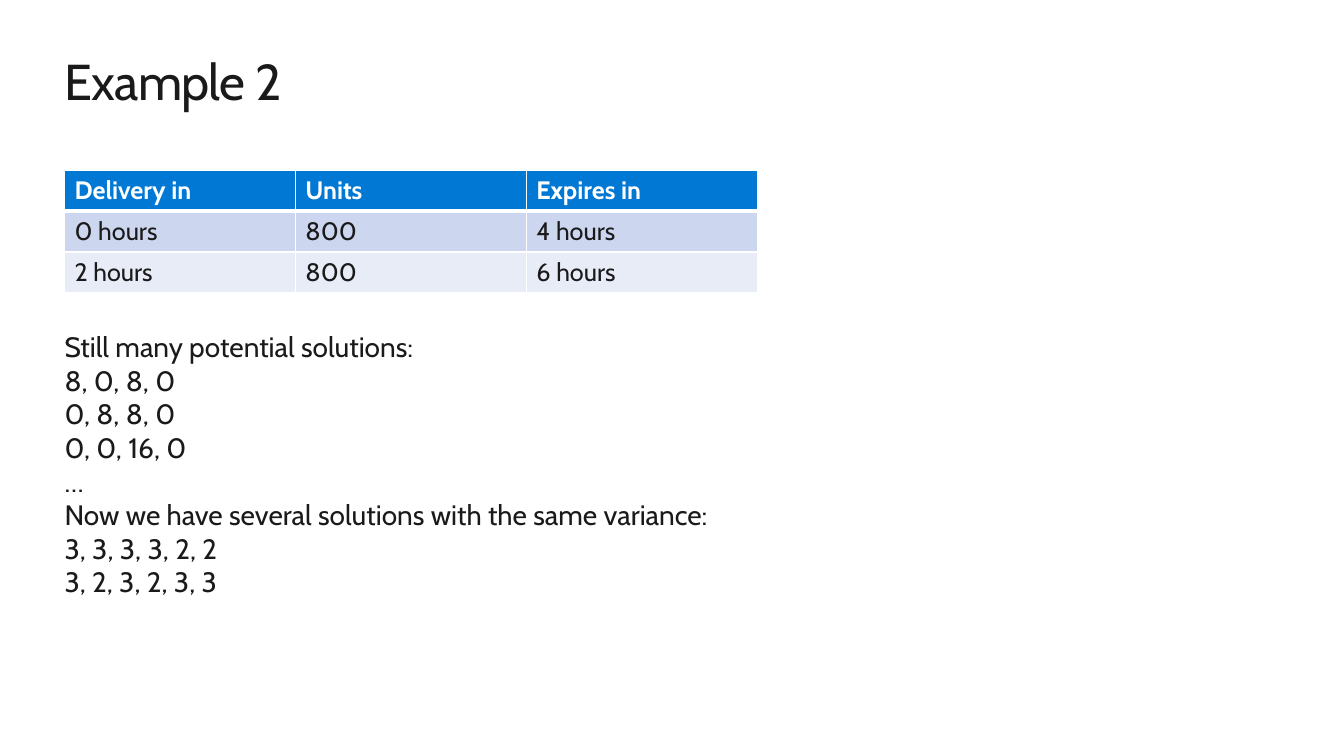
from dataclasses import dataclass

from lxml.etree import SubElement
from pptx import Presentation
from pptx.dml.color import RGBColor
from pptx.enum.text import MSO_ANCHOR, MSO_AUTO_SIZE, PP_ALIGN
from pptx.oxml.ns import qn
from pptx.util import Emu, Inches, Pt

COLORS = {
    "text": "1A1A1A",
    "white": "FFFFFF",
    "header": "0078D4",
    "odd_row": "CCD6EF",
    "even_row": "E7ECF7",
}
FONT = "Cabin"
SLIDE_WIDTH = Inches(13.33)
SLIDE_HEIGHT = Inches(7.5)
GRID_STEPS = 100

DELIVERIES = [
    ["Delivery in", "Units", "Expires in"],
    ["0 hours", "800", "4 hours"],
    ["2 hours", "800", "6 hours"],
]
SOLUTIONS = [
    "Still many potential solutions:",
    "8, 0, 8, 0",
    "0, 8, 8, 0",
    "0, 0, 16, 0",
    "…",
    "Now we have several solutions with the same variance:",
    "3, 3, 3, 3, 2, 2",
    "3, 2, 3, 2, 3, 3",
]


@dataclass(frozen=True)
class Area:
    column: float
    row: float
    columns: float
    rows: float

    def box(self) -> tuple[Emu, Emu, Emu, Emu]:
        column_width = SLIDE_WIDTH / GRID_STEPS
        row_height = SLIDE_HEIGHT / GRID_STEPS
        return (
            Emu(round(self.column * column_width)),
            Emu(round(self.row * row_height)),
            Emu(round(self.columns * column_width)),
            Emu(round(self.rows * row_height)),
        )


@dataclass(frozen=True)
class TextStyle:
    size: int
    color: str = "text"
    bold: bool = False
    spacing: int = 0


@dataclass(frozen=True)
class TextBlock:
    area: Area
    lines: list[str]
    style: TextStyle


@dataclass(frozen=True)
class RowStyle:
    fill: str
    text: TextStyle
    bottom_border: int = 1


TITLE = TextBlock(Area(4.8, 6.67, 90.4, 8.13), ["Example 2"], TextStyle(36, spacing=-50))
BODY = TextBlock(Area(4.8, 43.6, 55.74, 35.87), SOLUTIONS, TextStyle(20))
TABLE_AREA = Area(4.8, 22.53, 51.54, 16)
ROW_STYLES = [
    RowStyle("header", TextStyle(18, "white", True), 3),
    RowStyle("odd_row", TextStyle(18)),
    RowStyle("even_row", TextStyle(18)),
]


def format_runs(paragraph, style: TextStyle) -> None:
    for run in paragraph.runs:
        run.font.name = FONT
        run.font.size = Pt(style.size)
        run.font.bold = style.bold
        run.font.color.rgb = RGBColor.from_string(COLORS[style.color])
        if style.spacing:
            run.font._element.set("spc", str(style.spacing))


def fill_placeholder(shape, block: TextBlock) -> None:
    shape.left, shape.top, shape.width, shape.height = block.area.box()
    frame = shape.text_frame
    frame.margin_left = frame.margin_top = frame.margin_right = frame.margin_bottom = 0
    frame.word_wrap = True
    frame.auto_size = MSO_AUTO_SIZE.NONE
    frame.vertical_anchor = MSO_ANCHOR.TOP
    frame.text = "\n".join(block.lines)
    for paragraph in frame.paragraphs:
        properties = paragraph._p.get_or_add_pPr()
        properties.set("marL", "0")
        properties.set("indent", "0")
        SubElement(properties, qn("a:buNone"))
        paragraph.alignment = PP_ALIGN.LEFT
        paragraph.space_before = Pt(0)
        format_runs(paragraph, block.style)


def add_border(cell, side: str, width: int) -> None:
    line = SubElement(cell._tc.get_or_add_tcPr(), qn(f"a:ln{side}"), w=str(Pt(width)))
    fill = SubElement(line, qn("a:solidFill"))
    SubElement(fill, qn("a:srgbClr"), val=COLORS["white"])


def add_deliveries(slide, area: Area) -> None:
    row_count, column_count = len(DELIVERIES), len(DELIVERIES[0])
    table = slide.shapes.add_table(row_count, column_count, *area.box()).table
    top_border = 1
    for row, (values, style) in enumerate(zip(DELIVERIES, ROW_STYLES)):
        borders = {"L": 1, "R": 1, "T": top_border, "B": style.bottom_border}
        for column, value in enumerate(values):
            cell = table.cell(row, column)
            cell.text_frame.text = value
            format_runs(cell.text_frame.paragraphs[0], style.text)
            for side, width in borders.items():
                add_border(cell, side, width)
            cell.fill.solid()
            cell.fill.fore_color.rgb = RGBColor.from_string(COLORS[style.fill])
        top_border = style.bottom_border


def main() -> None:
    presentation = Presentation()
    presentation.slide_width = SLIDE_WIDTH
    presentation.slide_height = SLIDE_HEIGHT
    slide = presentation.slides.add_slide(presentation.slide_layouts[1])
    fill_placeholder(slide.shapes.title, TITLE)
    add_deliveries(slide, TABLE_AREA)
    fill_placeholder(slide.placeholders[1], BODY)
    presentation.save("out.pptx")


if __name__ == "__main__":
    main()
